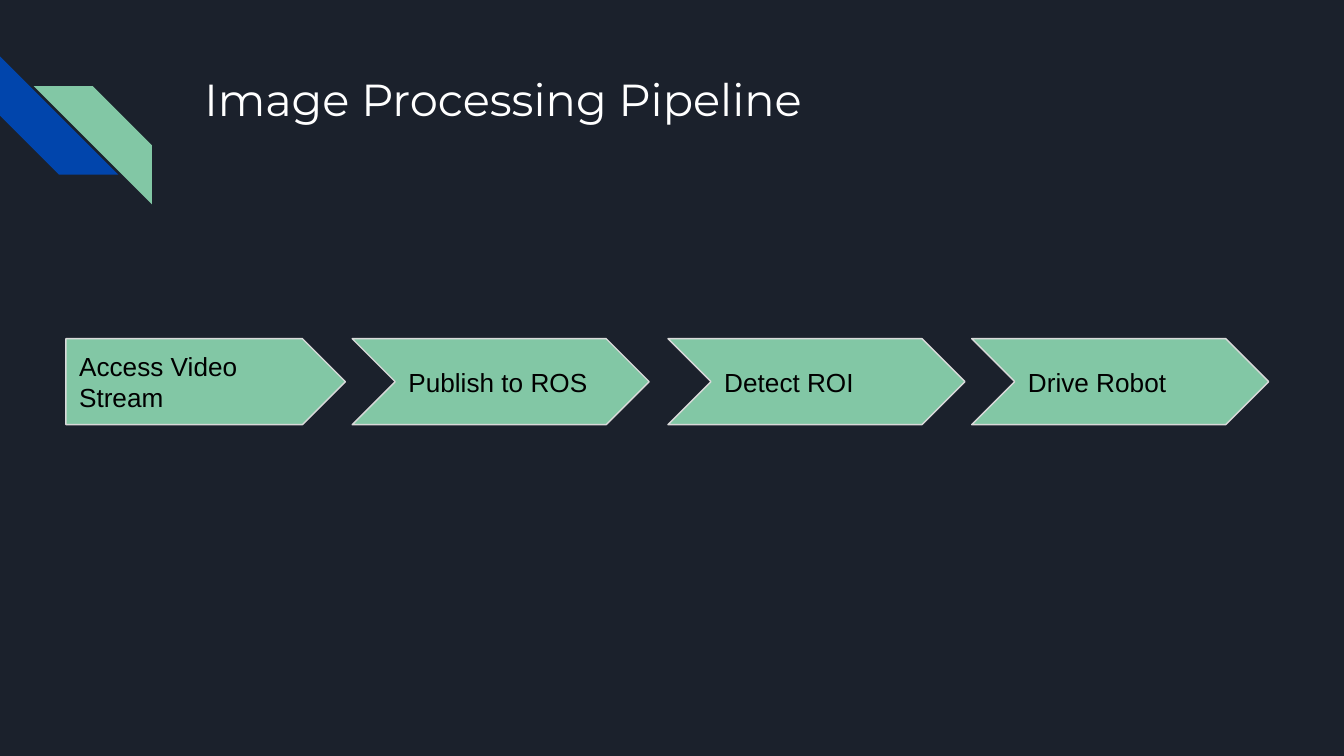
from pptx import Presentation
from pptx.dml.color import RGBColor
from pptx.enum.shapes import MSO_SHAPE
from pptx.enum.text import MSO_ANCHOR, PP_ALIGN
from pptx.util import Inches, Pt

WIDE = 10
HIGH = WIDE * 9 / 16
INK = {
    "back": "1B212C",
    "blue": "0145AC",
    "green": "82C7A5",
    "edge": "D9D9D9",
    "title": "FFFFFF",
    "text": "000000",
}
ROW_TOP, ROW_HIGH = 2.52, 0.64
STEPS = [  # label, left, width
    ("Access Video Stream", 0.49, 2.08),
    ("Publish to ROS", 2.62, 2.21),
    ("Detect ROI", 4.97, 2.21),
    ("Drive Robot", 7.23, 2.21),
]


def color(name):
    return RGBColor.from_string(INK[name])


def box(*sides):
    return [Inches(side) for side in sides]


def write(shape, text, font, size, ink, anchor):
    frame = shape.text_frame
    frame.text = text
    frame.word_wrap = True
    frame.vertical_anchor = anchor
    frame.margin_left = frame.margin_right = Inches(0.1)
    frame.margin_top = frame.margin_bottom = Inches(0.1)
    line = frame.paragraphs[0]
    line.alignment = PP_ALIGN.LEFT
    face = line.runs[0].font
    face.name, face.size = font, Pt(size)
    face.color.rgb = color(ink)


def add_block(group, kind, place, fill):
    shape = group.shapes.add_shape(kind, *box(*place))
    shape.shadow.inherit = False
    shape.fill.solid()
    shape.fill.fore_color.rgb = color(fill)
    shape.adjustments[0] = 0.5
    return shape


def add_stripe(group, left, top, fill):
    shape = add_block(group, MSO_SHAPE.DIAGONAL_STRIPE,
                      (left, top, 0.88, 0.88), fill)
    shape.line.fill.background()
    return shape


def add_mark(slide):
    """Two facing diagonal stripes at the left edge."""
    group = slide.shapes.add_group_shape()
    add_stripe(group, 0, 0.42, "blue").rotation = 270
    green = add_stripe(group, 0.25, 0.64, "green")
    green._element.spPr.xfrm.set("flipH", "1")


def add_steps(slide):
    group = slide.shapes.add_group_shape()
    for index, (label, left, width) in enumerate(STEPS):
        kind = MSO_SHAPE.CHEVRON if index else MSO_SHAPE.PENTAGON
        step = add_block(group, kind, (left, ROW_TOP, width, ROW_HIGH), "green")
        step.line.color.rgb = color("edge")
        step.line.width = Pt(0.75)
        write(step, label, "Arial", 14, "text", MSO_ANCHOR.MIDDLE)


def set_title(slide, text):
    title = slide.shapes.title
    title.left, title.top, title.width, title.height = box(1.42, 0.43, 7.7, 1)
    write(title, text, "Montserrat", 24, "title", MSO_ANCHOR.TOP)


def main():
    deck = Presentation()
    deck.slide_width, deck.slide_height = box(WIDE, HIGH)
    slide = deck.slides.add_slide(deck.slide_layouts[5])
    slide.background.fill.solid()
    slide.background.fill.fore_color.rgb = color("back")
    add_mark(slide)
    add_steps(slide)
    set_title(slide, "Image Processing Pipeline")
    deck.save("out.pptx")


if __name__ == "__main__":
    main()
